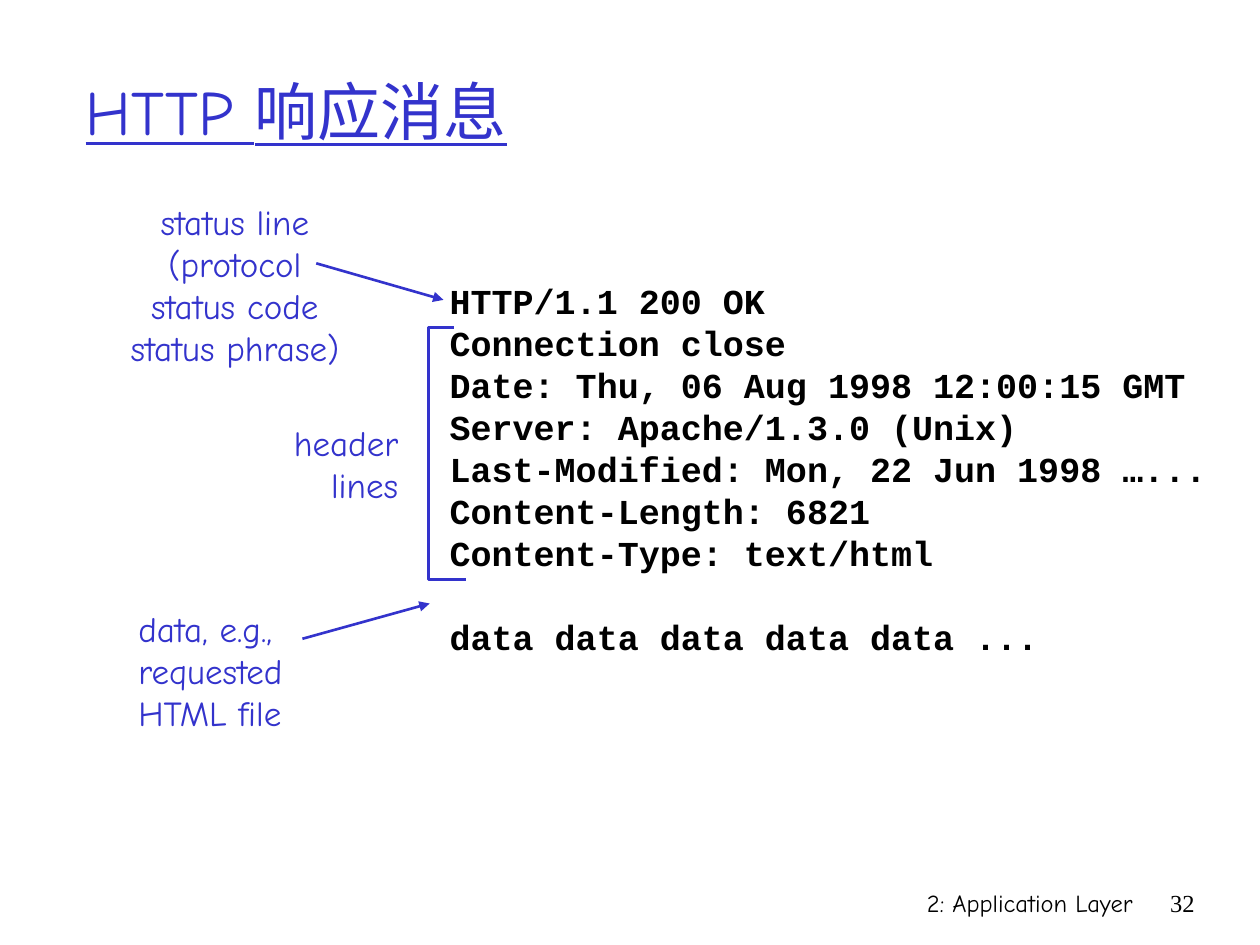
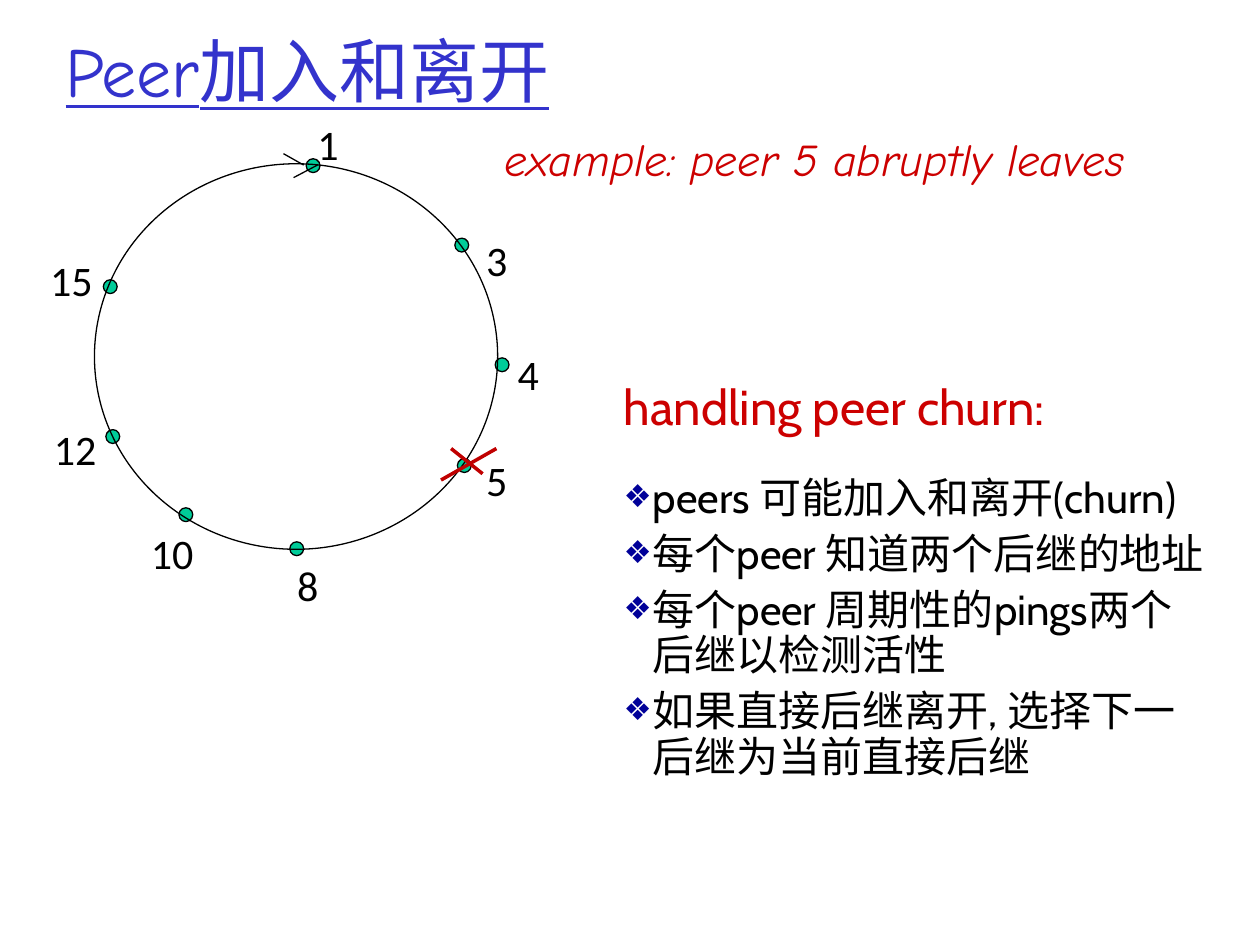
from lxml import etree
from pptx import Presentation
from pptx.dml.color import RGBColor
from pptx.enum.shapes import MSO_CONNECTOR, MSO_SHAPE
from pptx.enum.text import MSO_ANCHOR, MSO_AUTO_SIZE, PP_ALIGN
from pptx.oxml.ns import qn
from pptx.util import Inches, Pt

LEFT, MID, RIGHT = PP_ALIGN.LEFT, PP_ALIGN.CENTER, PP_ALIGN.RIGHT
OVAL, LINE = MSO_SHAPE.OVAL, MSO_CONNECTOR.STRAIGHT
FIXED, GROW = MSO_AUTO_SIZE.NONE, MSO_AUTO_SIZE.SHAPE_TO_FIT_TEXT


class Theme:
    blue = RGBColor(0x33, 0x33, 0xCC)
    black = RGBColor(0, 0, 0)
    red = RGBColor(0xCC, 0, 0)
    cross = RGBColor(0xC0, 0, 0)
    green = RGBColor(0, 0xCC, 0x99)
    bullet = "000099"
    hand, code, serif = "Comic Neue", "Courier New", "Times New Roman"
    sans, plain = "Cabin", "Calibri"
    small, note, text, lead, head = 14, 20, 24, 26, 28
    pitch = Pt(24)


deck = Presentation()
deck.slide_width, deck.slide_height = Inches(10), Inches(7.5)
cell = deck.slide_width // 100  # grid of 100 columns by 75 rows


def write(shape, box, lines, size, face, tint, align=LEFT, wrap=True):
    """Place a text shape on the grid, fill it and format every run."""
    shape.left, shape.top, shape.width, shape.height = (int(v * cell) for v in box)
    frame = shape.text_frame
    frame.text = lines
    frame.word_wrap = wrap
    frame.auto_size = FIXED if wrap else GROW
    for para in frame.paragraphs:
        para.alignment = align
        for run in para.runs:
            run.font.size, run.font.name = Pt(size), face
            run.font.color.rgb = tint
    return frame.paragraphs


def link(slide, ends, tint, width, arrow=False):
    """Draw a straight line between two grid points."""
    line = slide.shapes.add_connector(LINE, *(int(v * cell) for v in ends))
    line.line.color.rgb, line.line.width = tint, Pt(width)
    if arrow:
        etree.SubElement(line.line._get_or_add_ln(), qn("a:tailEnd"), type="triangle")
    etree.SubElement(line._element.spPr, qn("a:effectLst"))


# Both slides: underlined title
reply = deck.slides.add_slide(deck.slide_layouts[5])
churn = deck.slides.add_slide(deck.slide_layouts[1])
for slide, box, words, size in (
    (reply, (5.8, 2.5, 85, 12.5), "HTTP 响应消息", 36),
    (churn, (4.2, 0, 90, 11.1), "Peer加入和离开", 40),
):
    title = slide.shapes.title
    paras = write(title, box, words, size, Theme.hand, Theme.blue)
    paras[0].runs[0].font.underline = True
    title.text_frame.vertical_anchor = MSO_ANCHOR.MIDDLE

# Slide 1: response message with its labels
for box, words, face in (
    ((59.2, 70, 31.7, 5), "2: Application Layer", Theme.hand),
    ((90.8, 70, 5, 5), "32", Theme.serif),
):
    write(reply.shapes.add_textbox(0, 0, 0, 0), box, words,
          Theme.small, face, Theme.black, RIGHT)

message = """HTTP/1.1 200 OK
Connection close
Date: Thu, 06 Aug 1998 12:00:15 GMT
Server: Apache/1.3.0 (Unix)
Last-Modified: Mon, 22 Jun 1998 …...
Content-Length: 6821
Content-Type: text/html
data data data data data ..."""
status = "status line\n(protocol\nstatus code\nstatus phrase)"
data = "data, e.g.,\nrequested\nHTML file"
for box, words, face, tint, align in (
    ((34.7, 21.7, 63.8, 31), message, Theme.code, Theme.black, LEFT),
    ((9.3, 15.4, 18.7, 14.4), status, Theme.hand, Theme.blue, MID),
    ((22.3, 33, 10.3, 7.7), "header\nlines", Theme.hand, Theme.blue, RIGHT),
    ((10, 47.7, 13.6, 11), data, Theme.hand, Theme.blue, LEFT),
):
    paras = write(reply.shapes.add_textbox(0, 0, 0, 0), box, words,
                  Theme.note, face, tint, align, False)
    for para in paras:
        para.line_spacing = Theme.pitch
    if words == message:
        paras[-1].space_before = Theme.pitch
        for para in paras:
            para.runs[0].font.bold = True

for ends in ((25.1, 20.9, 35.2, 23.8), (24, 50.7, 34.1, 47.9)):
    link(reply, ends, Theme.blue, 1.5, True)

pen = reply.shapes.build_freeform(36.1, 25.8, cell)
pen.add_line_segments(((33.9, 25.7), (33.9, 46), (36.7, 46)), close=False)
brace = pen.convert_to_shape()
brace.shadow.inherit = False
brace.fill.background()
brace.line.color.rgb, brace.line.width = Theme.blue, Pt(1.5)

# Slide 2: ring of peers
peers = (  # name, dot corner, label corner
    ("1", (24.3, 12.6), (24.2, 8.9)),
    ("3", (36.1, 18.9), (37.6, 18.1)),
    ("4", (39.3, 28.4), (40.1, 27.2)),
    ("5", (36.3, 36.4), (37.6, 35.6)),
    ("8", (23, 43), (22.6, 43.9)),
    ("10", (14.2, 40.3), (11, 41.4)),
    ("12", (8.4, 34.1), (3.3, 33.1)),
    ("15", (8.2, 22.2), (3, 19.7)),
)
rounds = [(*dot, 1.1, 1.1) for _, dot, _ in peers] + [(7.5, 13, 32, 30.6)]
for box in rounds:
    oval = churn.shapes.add_shape(OVAL, *(int(v * cell) for v in box))
    oval.shadow.inherit = False
    oval.line.color.rgb, oval.line.width = Theme.black, Pt(0.75)
    if box == rounds[-1]:
        oval.fill.background()
    else:
        oval.fill.solid()
        oval.fill.fore_color.rgb = Theme.green

for name, _, spot in peers:
    write(churn.shapes.add_textbox(0, 0, 0, 0), (*spot, 2 + 1.7 * len(name), 5),
          name, Theme.text, Theme.plain, Theme.black, wrap=False)

for ends, tint, width in (
    ((22.5, 12.2, 24.1, 13.1), Theme.black, 0.75),
    ((25.2, 13.1, 23.3, 14.1), Theme.black, 0.75),
    ((35.8, 35.6, 38.3, 37.6), Theme.cross, 2),
    ((39.4, 35.6, 35, 38.1), Theme.cross, 2),
):
    link(churn, ends, tint, width)

case = write(churn.shapes.add_textbox(0, 0, 0, 0), (39.1, 10.4, 58.6, 8),
             "example: peer 5 abruptly leaves", Theme.lead, Theme.hand, Theme.red)[0]
case.line_spacing = 0.9
case.runs[0].font.italic = True

# Slide 2: list
points = """handling peer churn:
peers 可能加入和离开(churn)
每个peer 知道两个后继的地址
每个peer 周期性的pings两个后继以检测活性
如果直接后继离开, 选择下一后继为当前直接后继"""
head, *items = write(churn.placeholders[1], (48.5, 29.4, 48.4, 47.5), points,
                     Theme.text, Theme.sans, Theme.black)
props = head._p.get_or_add_pPr()
props.set("marL", "0")
props.set("indent", "0")
etree.SubElement(props, qn("a:buNone"))
head.space_before = Pt(0)
head.runs[0].font.size = Pt(Theme.head)
head.runs[0].font.color.rgb = Theme.red
for item in items:
    props = item._p.get_or_add_pPr()
    props.set("marL", str(int(2.3 * cell)))
    props.set("indent", str(int(-2.3 * cell)))
    tint = etree.SubElement(props, qn("a:buClr"))
    etree.SubElement(tint, qn("a:srgbClr"), val=Theme.bullet)
    etree.SubElement(props, qn("a:buSzPct"), val="75000")
    etree.SubElement(props, qn("a:buChar"), char="❖")
    item.space_before = Pt(6)
    item.line_spacing = 1.5 if item is items[0] else Pt(26)

deck.save("out.pptx")
